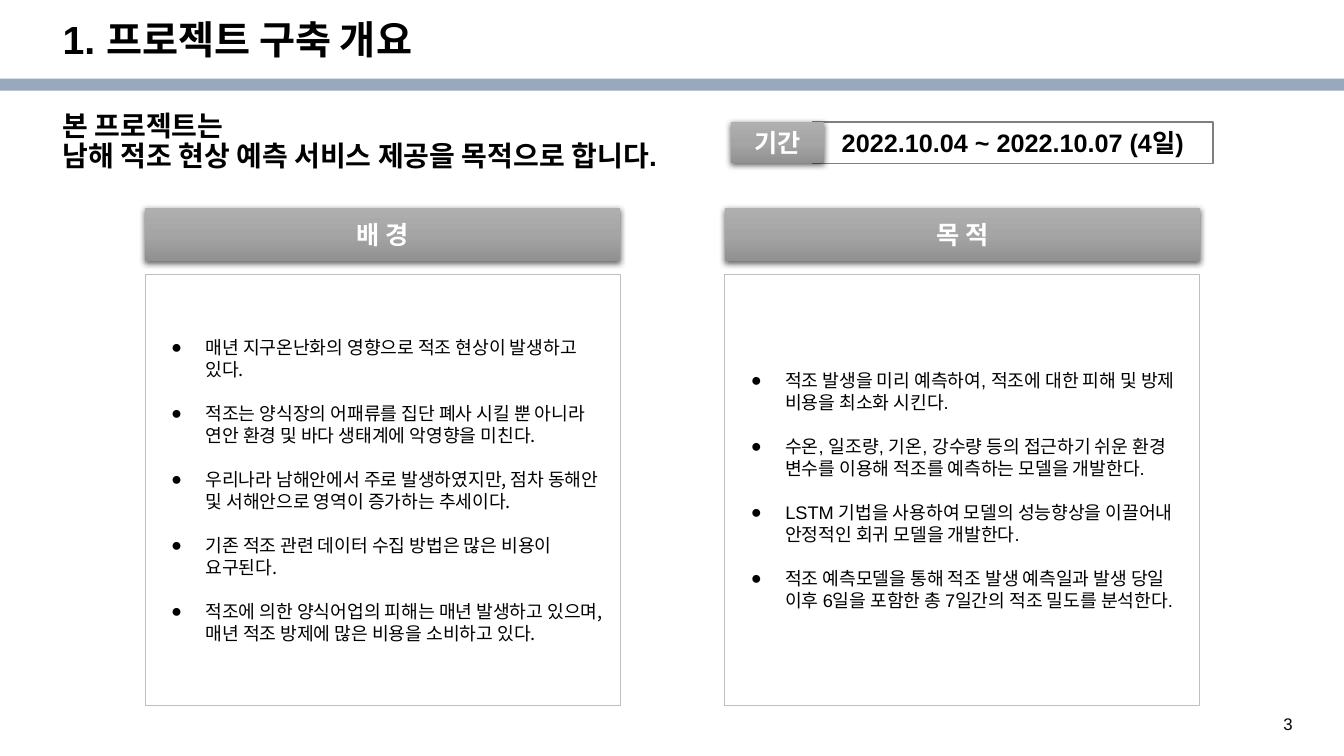
from lxml.etree import SubElement
from pptx import Presentation
from pptx.dml.color import RGBColor
from pptx.enum.shapes import MSO_SHAPE as Shape
from pptx.enum.text import MSO_ANCHOR as Anchor, PP_ALIGN as Align
from pptx.oxml.ns import qn
from pptx.util import Inches, Pt

COLORS = {
    "ink": "000000", "paper": "FFFFFF", "band": "98A8BD",
    "period_edge": "7F7F7F", "panel_edge": "BFBFBF",
    "metal_top": "AFAFAF", "metal_mid": "A5A5A5", "metal_low": "919191",
}
LATIN, HANGUL = "Arial", "Noto Sans CJK KR"
BODY_LINE = Pt(15.7)

REASONS = [
    "매년 지구온난화의 영향으로 적조 현상이 발생하고 있다.",
    "적조는 양식장의 어패류를 집단 폐사 시킬 뿐 아니라 연안 환경 및 바다 생태계에 악영향을 미친다.",
    "우리나라 남해안에서 주로 발생하였지만, 점차 동해안 및 서해안으로 영역이 증가하는 추세이다.",
    "기존 적조 관련 데이터 수집 방법은 많은 비용이 요구된다.",
    "적조에 의한 양식어업의 피해는 매년 발생하고 있으며, 매년 적조 방제에 많은 비용을 소비하고 있다.",
]
GOALS = [
    "적조 발생을 미리 예측하여, 적조에 대한 피해 및 방제 비용을 최소화 시킨다.",
    "수온, 일조량, 기온, 강수량 등의 접근하기 쉬운 환경 변수를 이용해 적조를 예측하는 모델을 개발한다.",
    "LSTM 기법을 사용하여 모델의 성능향상을 이끌어내 안정적인 회귀 모델을 개발한다.",
    "적조 예측모델을 통해 적조 발생 예측일과 발생 당일 이후 6일을 포함한 총 7일간의 적조 밀도를 분석한다.",
]


def rgb(name):
    return RGBColor.from_string(COLORS[name])


def write(frame, lines, size, color="ink", bold=False, align=Align.LEFT,
          anchor=Anchor.MIDDLE, line_height=None, latin=LATIN):
    frame.word_wrap = True
    frame.vertical_anchor = anchor
    frame.text = "\n".join(lines)
    for paragraph in frame.paragraphs:
        paragraph.alignment = align
        if line_height:
            paragraph.line_spacing = line_height
        for run in paragraph.runs:
            run.font.size = Pt(size)
            run.font.bold = bold
            run.font.color.rgb = rgb(color)
            run.font.name = latin
            SubElement(run.font._element, qn("a:ea"), typeface=HANGUL)


def add_box(slide, left, top, width, height, fill="paper", edge=None, weight=1):
    box = slide.shapes.add_shape(Shape.RECTANGLE, Inches(left), Inches(top),
                                 Inches(width), Inches(height))
    box.shadow.inherit = False
    box.fill.solid()
    box.fill.fore_color.rgb = rgb(fill)
    if edge:
        box.line.color.rgb = rgb(edge)
        box.line.width = Pt(weight)
    else:
        box.line.fill.background()
    return box


def add_metal_label(slide, left, top, width, height, text):
    """Grey gradient plate with a soft shadow below it."""
    plate = add_box(slide, left, top, width, height)
    plate.fill.gradient()
    plate.fill.gradient_angle = 270
    properties = plate._element.spPr
    stops = properties.find(".//" + qn("a:gsLst"))
    stops.clear()
    for position, name in ((0, "metal_top"), (50000, "metal_mid"), (100000, "metal_low")):
        stop = SubElement(stops, qn("a:gs"), pos=str(position))
        SubElement(stop, qn("a:srgbClr"), val=COLORS[name])
    shadow = SubElement(properties.find(qn("a:effectLst")), qn("a:outerShdw"),
                        blurRad=str(Pt(4.5)), dist=str(Pt(1.5)), dir="5400000",
                        algn="ctr", rotWithShape="0")
    shade = SubElement(shadow, qn("a:srgbClr"), val=COLORS["ink"])
    SubElement(shade, qn("a:alpha"), val="62000")
    write(plate.text_frame, [text], 18, "paper", True, Align.CENTER)


def add_bullet(paragraph):
    properties = paragraph._p.get_or_add_pPr()
    properties.set("marL", str(Inches(0.5)))
    properties.set("indent", str(Inches(-0.34)))
    color = SubElement(properties, qn("a:buClr"))
    SubElement(color, qn("a:srgbClr"), val=COLORS["ink"])
    SubElement(properties, qn("a:buFont"), typeface=LATIN)
    SubElement(properties, qn("a:buChar"), char="●")


def add_column(slide, left, top, width, heading, points, latin):
    add_metal_label(slide, left, top, width, 0.53, heading)
    panel = add_box(slide, left, top + 0.66, width, 4.28, edge="panel_edge", weight=0.75)
    write(panel.text_frame, points, 13, line_height=BODY_LINE, latin=latin)
    for index, paragraph in enumerate(panel.text_frame.paragraphs):
        if index:
            paragraph.space_before = BODY_LINE
        add_bullet(paragraph)


def add_header(slide, left, top, width):
    add_box(slide, 0, top + 0.63, 13.33, 0.12, fill="band")
    title = slide.shapes.title
    title.left, title.top = Inches(left), Inches(top)
    title.width, title.height = Inches(width), Inches(0.53)
    write(title.text_frame, ["1. 프로젝트 구축 개요"], 28, bold=True, line_height=Pt(30))


def add_text(slide, left, top, width, height, lines, size, **style):
    box = slide.shapes.add_textbox(Inches(left), Inches(top), Inches(width), Inches(height))
    write(box.text_frame, lines, size, **style)


def add_period(slide, left, top, height):
    dates = add_box(slide, left + 0.81, top, 3.97, height, edge="period_edge")
    write(dates.text_frame, ["2022.10.04 ~ 2022.10.07 (4일)"], 18, bold=True,
          align=Align.CENTER)
    add_metal_label(slide, left, top, 0.92, height, "기간")


def main():
    deck = Presentation()
    deck.slide_width, deck.slide_height = Inches(13.33), Inches(7.5)
    slide = deck.slides.add_slide(deck.slide_layouts[5])
    add_header(slide, 0.52, 0.15, 11.5)
    add_text(slide, 0.52, 1.06, 12.01, 0.71,
             ["본 프로젝트는", "남해 적조 현상 예측 서비스 제공을 목적으로 합니다."],
             20, bold=True, anchor=Anchor.TOP, line_height=Pt(21.5))
    add_period(slide, 7.25, 1.21, 0.41)
    add_column(slide, 1.44, 2.06, 4.71, "배 경", REASONS, HANGUL)
    add_column(slide, 7.19, 2.06, 4.71, "목 적", GOALS, LATIN)
    add_text(slide, 12.63, 7.05, 0.52, 0.27, ["3"], 12)
    deck.save("out.pptx")


if __name__ == "__main__":
    main()
